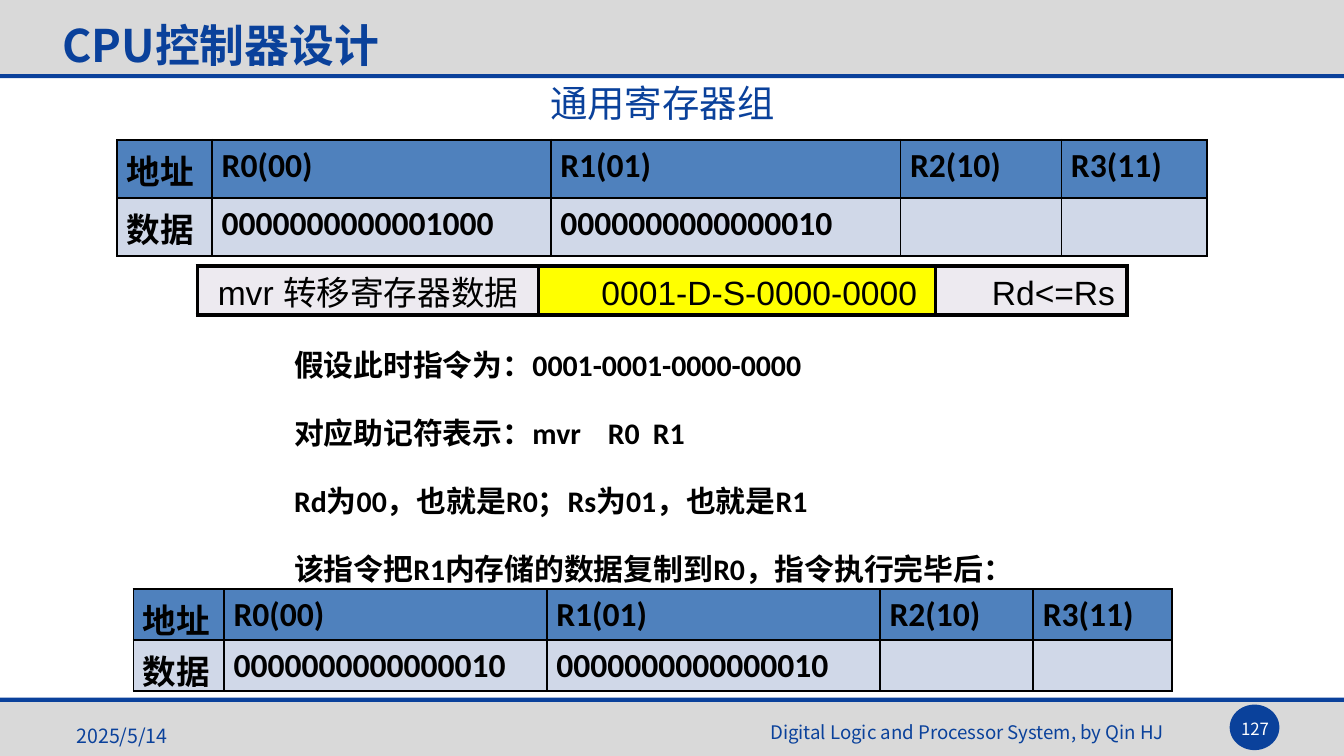
from lxml import etree
from pptx import Presentation
from pptx.dml.color import RGBColor
from pptx.enum.shapes import MSO_SHAPE as Shape
from pptx.enum.text import MSO_ANCHOR as Anchor, PP_ALIGN as Align
from pptx.oxml.ns import qn
from pptx.util import Cm, Pt

SLIDE_WIDTH, SLIDE_HEIGHT = 25.4, 14.28
NAVY, GREY, BLACK, WHITE = "0A419B", "D9D9D9", "000000", "FFFFFF"
HEADER_BLUE, PALE_BLUE = "4F81BD", "D0D8E8"
PALE_PURPLE, YELLOW = "EDEAF0", "FFFF00"
CJK_FONT = "Noto Sans CJK SC"
INSETS = (0.18, 0.1, 0.18, 0.1)
REGISTER_COLUMNS = (1.8, 6.4, 6.61, 3.04, 2.75)
REGISTER_HEADER = ("地址", "R0(00)", "R1(01)", "R2(10)", "R3(11)")


def colour(value):
    return RGBColor.from_string(value)


def add_run(paragraph, text, size, font=CJK_FONT, text_colour=NAVY, bold=False):
    run = paragraph.add_run()
    run.text = text
    run.font.size = Pt(size)
    run.font.name = font
    run.font.bold = bold
    run.font.color.rgb = colour(text_colour)
    east_asian = etree.SubElement(run.font._element, qn("a:ea"))
    east_asian.set("typeface", CJK_FONT)


def set_insets(target, insets):
    """Set the left, top, right and bottom margins of a text frame or cell."""
    for side, inset in zip(("left", "top", "right", "bottom"), insets):
        setattr(target, f"margin_{side}", Cm(inset))


def add_filled_shape(slide, kind, box, fill):
    shape = slide.shapes.add_shape(kind, *map(Cm, box))
    shape.shadow.inherit = False
    shape.fill.solid()
    shape.fill.fore_color.rgb = colour(fill)
    shape.line.fill.background()


def add_text_frame(slide, box, anchor=Anchor.MIDDLE, wrap=True):
    frame = slide.shapes.add_textbox(*map(Cm, box)).text_frame
    frame.word_wrap = wrap
    frame.vertical_anchor = anchor
    set_insets(frame, INSETS)
    return frame


def add_label(slide, box, text, size, align=Align.LEFT, anchor=Anchor.MIDDLE, **style):
    paragraph = add_text_frame(slide, box, anchor).paragraphs[0]
    paragraph.alignment = align
    add_run(paragraph, text, size, **style)


def set_borders(cell, points):
    properties = cell._tc.get_or_add_tcPr()
    for side in ("lnL", "lnR", "lnT", "lnB"):
        line = etree.SubElement(properties, qn(f"a:{side}"), w=str(Pt(points)))
        fill = etree.SubElement(line, qn("a:solidFill"))
        etree.SubElement(fill, qn("a:srgbClr"), val=BLACK)


def style_cell(cell, fill, border, insets, anchor):
    set_borders(cell, border)
    cell.fill.solid()
    cell.fill.fore_color.rgb = colour(fill)
    set_insets(cell, insets)
    cell.vertical_anchor = anchor


def add_grid(slide, box, columns, row_count):
    """Add a table whose columns share the box width in the given proportions."""
    left, top, width, height = box
    table = slide.shapes.add_table(row_count, len(columns), *map(Cm, box)).table
    for column, share in zip(table.columns, columns):
        column.width = Cm(width * share / sum(columns))
    for row in table.rows:
        row.height = Cm(height / row_count)
    return table


def add_register_table(slide, box, values):
    table = add_grid(slide, box, REGISTER_COLUMNS, 2)
    rows = (REGISTER_HEADER, ("数据", *values, "", ""))
    for row, texts, fill in zip(table.rows, rows, (HEADER_BLUE, PALE_BLUE)):
        for cell, text in zip(row.cells, texts):
            style_cell(cell, fill, 1, INSETS, Anchor.TOP)
            if text:
                add_run(cell.text_frame.paragraphs[0], text, 18, "Calibri", BLACK, True)


def add_instruction_table(slide, box):
    table = add_grid(slide, box, (6.45, 7.5, 3.62), 1)
    contents = (
        ("mvr 转移寄存器数据", PALE_PURPLE, 0),
        ("0001-D-S-0000-0000", YELLOW, 0.84),
        ("Rd<=Rs", PALE_PURPLE, 0.84),
    )
    for cell, (text, fill, indent) in zip(table.rows[0].cells, contents):
        style_cell(cell, fill, 2.25, (0.15, 0, 0.15, 0), Anchor.MIDDLE)
        paragraph = cell.text_frame.paragraphs[0]
        paragraph.alignment = Align.CENTER
        paragraph.space_after = Pt(1.2)
        if indent:
            paragraph.line_spacing = 1.2
            paragraph._p.get_or_add_pPr().set("indent", str(Cm(indent)))
        add_run(paragraph, text, 18, "Arial", BLACK)


def add_tab_stops(paragraph, positions):
    tabs = etree.SubElement(paragraph._p.get_or_add_pPr(), qn("a:tabLst"))
    for position in positions:
        etree.SubElement(tabs, qn("a:tab"), pos=str(Cm(position)), algn="l")


def add_explanation(slide, box):
    frame = add_text_frame(slide, box, Anchor.TOP, wrap=False)
    lines = (
        "假设此时指令为：0001-0001-0000-0000",
        "对应助记符表示：mvr\tR0\tR1",
        "Rd为00，也就是R0；Rs为01，也就是R1",
        "该指令把R1内存储的数据复制到R0，指令执行完毕后：",
    )
    for index, text in enumerate(lines):
        paragraph = frame.add_paragraph() if index else frame.paragraphs[0]
        if "\t" in text:
            add_tab_stops(paragraph, (5.93, 6.78))
        paragraph.line_spacing = 1.5
        if index:
            paragraph.space_before = Pt(7.5)
        add_run(paragraph, text, 16, "Calibri", BLACK, True)


def add_header(slide, box):
    left, top, width, height = box
    add_filled_shape(slide, Shape.RECTANGLE, box, GREY)
    add_filled_shape(slide, Shape.RECTANGLE, (left, top + height, width, 0.08), NAVY)
    add_label(slide, (left + 1, top + 0.2, 18.2, 1.3), "CPU控制器设计", 24, bold=True)


def add_footer(slide, box):
    left, top, width, height = box
    add_filled_shape(slide, Shape.RECTANGLE, box, GREY)
    add_filled_shape(slide, Shape.RECTANGLE, (left, top - 0.05, width, 0.08), NAVY)
    add_filled_shape(slide, Shape.OVAL, (left + 23.24, top + 0.08, 0.94, 0.86), NAVY)
    add_label(slide, (left + 1.27, top + 0.28, 5.92, 0.76), "2025/5/14", 10.5)
    add_label(slide, (left + 14.38, top + 0.28, 8.53, 0.79),
              "Digital Logic and Processor System, by Qin HJ", 10, anchor=Anchor.TOP)
    add_label(slide, (left + 23.11, top + 0.15, 1.22, 0.76), "127", 9,
              Align.CENTER, text_colour=WHITE)


def main():
    presentation = Presentation()
    presentation.slide_width = Cm(SLIDE_WIDTH)
    presentation.slide_height = Cm(SLIDE_HEIGHT)
    slide = presentation.slides.add_slide(presentation.slide_layouts[6])

    add_header(slide, (0, 0, SLIDE_WIDTH, 1.4))
    add_footer(slide, (0, 13.23, SLIDE_WIDTH, 1.05))
    add_label(slide, (9.14, 1.35, 6.76, 1.19), "通用寄存器组", 20, Align.CENTER)
    add_register_table(slide, (2.21, 2.64, 20.6, 2.2),
                       ("0000000000001000", "0000000000000010"))
    add_instruction_table(slide, (3.73, 5.03, 17.57, 0.91))
    add_explanation(slide, (5.38, 6.12, 14.25, 5.03))
    add_register_table(slide, (2.52, 11.13, 19.63, 1.9),
                       ("0000000000000010", "0000000000000010"))
    presentation.save("out.pptx")


if __name__ == "__main__":
    main()
